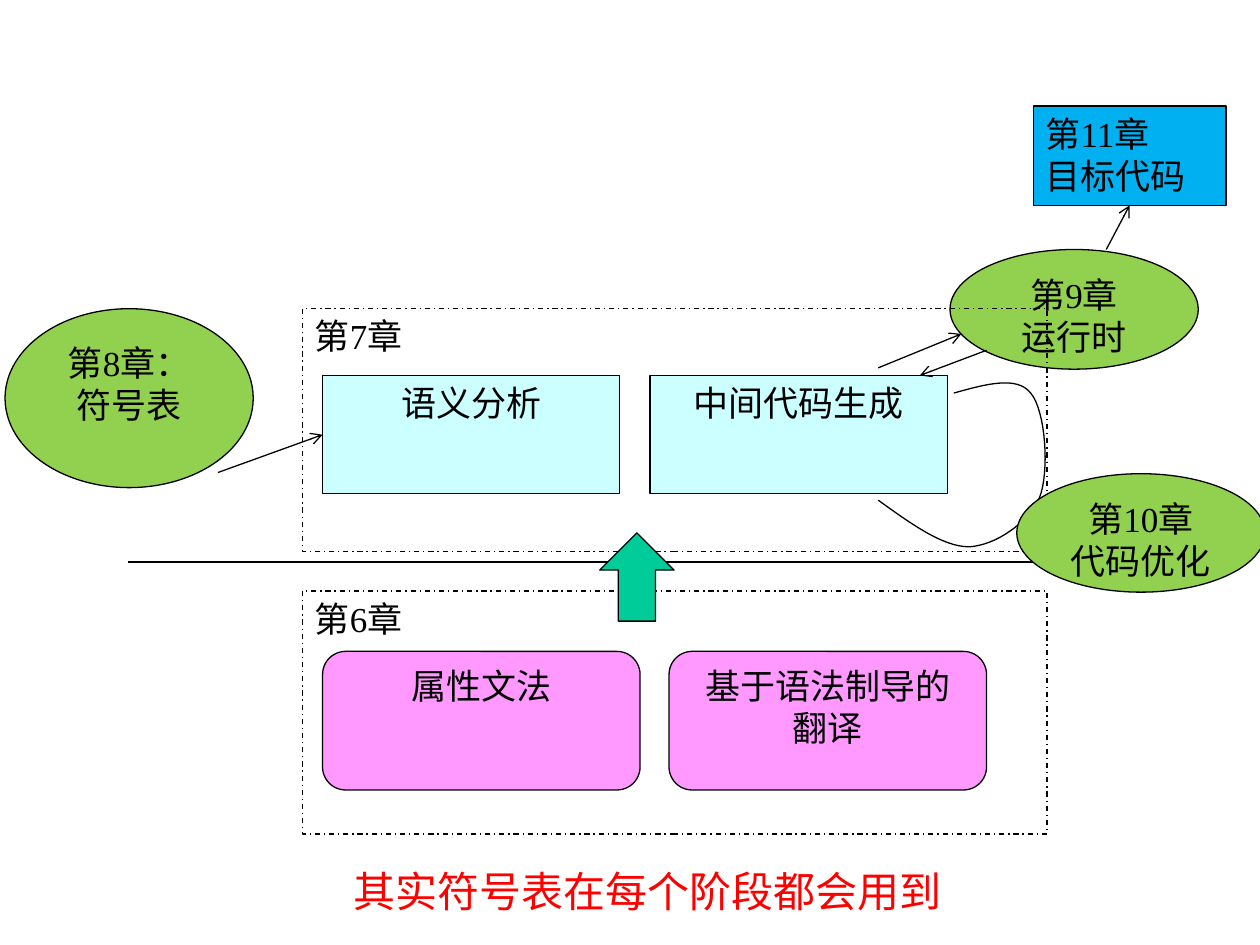
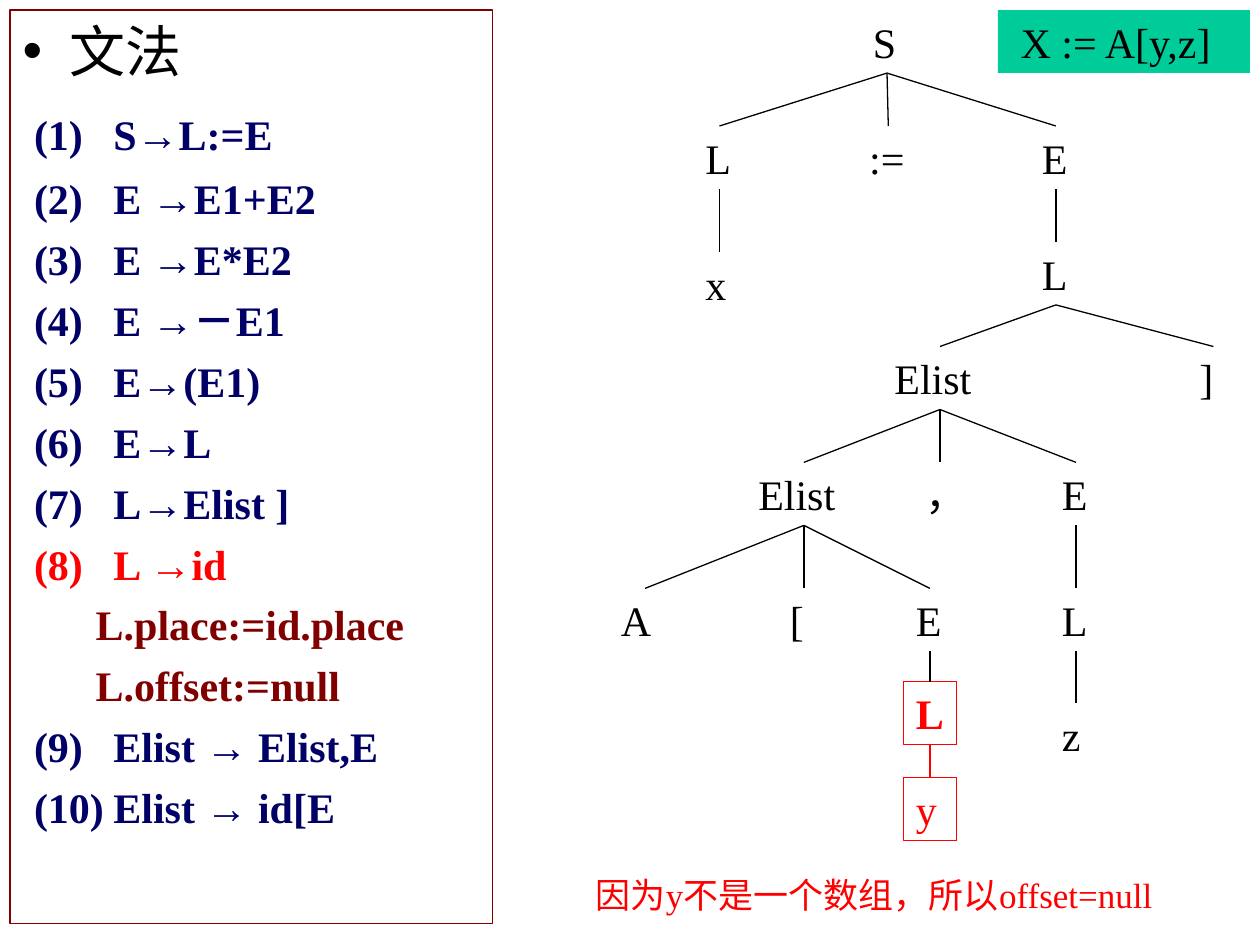
"""Build two compiler-course slides: a chapter map and an assignment parse tree."""
from dataclasses import dataclass
from typing import Optional

from lxml import etree
from pptx import Presentation
from pptx import util as u
from pptx.dml.color import RGBColor
from pptx.enum import dml, shapes, text
from pptx.oxml import ns

EMU_PER_PX = 9144
FONT = "Times New Roman"
BLACK = RGBColor(0x00, 0x00, 0x00)
RED = RGBColor(0xFF, 0x00, 0x00)
MAROON = RGBColor(0x80, 0x00, 0x00)
NAVY = RGBColor(0x00, 0x00, 0x66)
PINK = RGBColor(0xFF, 0x99, 0xFF)
PALE_CYAN = RGBColor(0xCC, 0xFF, 0xFF)
GREEN = RGBColor(0x92, 0xD0, 0x50)
BLUE = RGBColor(0x00, 0xB0, 0xF0)
TEAL = RGBColor(0x00, 0xCC, 0x99)

RECT = shapes.MSO_SHAPE.RECTANGLE
ROUNDED = shapes.MSO_SHAPE.ROUNDED_RECTANGLE
OVAL = shapes.MSO_SHAPE.OVAL
UP_ARROW = shapes.MSO_SHAPE.UP_ARROW
LEFT = text.PP_ALIGN.LEFT
CENTER = text.PP_ALIGN.CENTER
TOP_SIDE, LEFT_SIDE, BOTTOM_SIDE = 0, 1, 2


@dataclass(frozen=True)
class Box:
    label: str
    left: int
    top: int
    width: int
    height: int
    preset: Optional[int] = None
    fill: Optional[RGBColor] = None
    line: Optional[RGBColor] = None
    dashed: bool = False
    align: int = LEFT
    size: int = 20
    color: RGBColor = BLACK
    bold: bool = False


@dataclass(frozen=True)
class Node:
    key: str
    label: str
    left: int
    top: int
    width: int = 42
    parent: str = ""
    framed: bool = False
    bold: bool = False
    edge: RGBColor = BLACK


@dataclass(frozen=True)
class Rule:
    words: str
    color: RGBColor = NAVY
    left: int = 72
    hang: int = 63
    before: int = 6
    after: int = 0


def px(value: float) -> u.Emu:
    return u.Emu(round(value * EMU_PER_PX))


def format_spans(para, size: int, color: RGBColor, bold: bool) -> None:
    for span in para.runs:
        span.font.name = FONT
        span.font.size = u.Pt(size)
        span.font.color.rgb = color
        span.font.bold = bold


def draw_box(page, box: Box):
    place = [px(v) for v in (box.left, box.top, box.width, box.height)]
    if box.preset is None:
        shape = page.shapes.add_textbox(*place)
    else:
        shape = page.shapes.add_shape(box.preset, *place)
        shape.shadow.inherit = False
    if box.fill is None:
        shape.fill.background()
    else:
        shape.fill.solid()
        shape.fill.fore_color.rgb = box.fill
    if box.line is None:
        shape.line.fill.background()
    else:
        shape.line.color.rgb = box.line
        shape.line.width = u.Pt(0.75)
    if box.dashed:
        shape.line.dash_style = dml.MSO_LINE.DASH_DOT
    if box.label:
        frame = shape.text_frame
        frame.word_wrap = True
        frame.vertical_anchor = text.MSO_ANCHOR.TOP
        frame.text = box.label
        for para in frame.paragraphs:
            para.alignment = box.align
            format_spans(para, box.size, box.color, box.bold)
    return shape


def draw_line(page, start=(0, 0), end=(0, 0), color: RGBColor = BLACK, arrow: bool = False):
    points = [px(v) for v in (*start, *end)]
    line = page.shapes.add_connector(shapes.MSO_CONNECTOR.STRAIGHT, *points)
    line.line.color.rgb = color
    line.line.width = u.Pt(0.75)
    if arrow:
        etree.SubElement(line.line._get_or_add_ln(), ns.qn("a:tailEnd"), type="arrow")
    etree.SubElement(line._element.spPr, ns.qn("a:effectLst"))
    return line


def draw_curve(page, start: tuple, segments: list, steps: int = 16) -> None:
    points = []
    p0 = start
    for p1, p2, p3 in segments:
        for step in range(1, steps + 1):
            t = step / steps
            s = 1 - t
            points.append(tuple(
                px(s**3 * a + 3 * s * s * t * b + 3 * s * t * t * c + t**3 * d)
                for a, b, c, d in zip(p0, p1, p2, p3)))
        p0 = p3
    builder = page.shapes.build_freeform(px(start[0]), px(start[1]), scale=1.0)
    builder.add_line_segments(points, close=False)
    curve = builder.convert_to_shape()
    curve.shadow.inherit = False
    curve.fill.background()
    curve.line.color.rgb = BLACK
    curve.line.width = u.Pt(0.75)


def chapter(label: str, left: int, top: int, height: int) -> Box:
    return Box(label, left, top, 197, height, OVAL, GREEN, BLACK, align=CENTER)


def stage(label: str, left: int) -> Box:
    return Box(label, left, 298, 236, 94, RECT, PALE_CYAN, BLACK, align=CENTER)


def method(label: str, left: int) -> Box:
    return Box(label, left, 517, 252, 110, ROUNDED, PINK, BLACK, align=CENTER)


def scope(label: str, top: int) -> Box:
    return Box(label, 240, top, 591, 193, RECT, line=BLACK, dashed=True)


def build_chapter_map(deck) -> None:
    page = deck.slides.add_slide(deck.slide_layouts[6])
    draw_box(page, method("属性文法", 256))
    draw_box(page, method("基于语法制导的翻译", 531))
    semantics = draw_box(page, stage("语义分析", 256))
    draw_box(page, stage("中间代码生成", 516))
    draw_box(page, chapter("第8章：\n符号表", 4, 245, 142))
    draw_line(page, (102, 446), (925, 446))
    draw_box(page, chapter("第9章\n运行时", 754, 198, 95))
    target = draw_box(page, Box("第11章\n目标代码", 820, 84, 153, 79, RECT, BLUE, BLACK))
    draw_curve(page, (697, 397), [
        ((722, 415), (748, 434), (769, 434)),
        ((790, 433), (816, 415), (825, 395)),
        ((833, 375), (830, 326), (818, 312)),
        ((807, 298), (782, 305), (757, 312)),
    ])
    draw_box(page, scope("第7章", 245))
    draw_box(page, scope("第6章", 469))
    draw_box(page, chapter("第10章\n代码优化", 807, 376, 94))
    draw_line(page, (173, 375), (256, 345), arrow=True).end_connect(semantics, LEFT_SIDE)
    draw_line(page, (697, 292), (763, 265), arrow=True)
    draw_line(page, (878, 198), (896, 163), arrow=True).end_connect(target, BOTTOM_SIDE)
    draw_line(page, (783, 278), (730, 298), arrow=True)
    draw_box(page, Box("", 476, 423, 59, 70, UP_ARROW, TEAL, BLACK))
    draw_box(page, Box("其实符号表在每个阶段都会用到", 271, 682, 520, 50, size=24, color=RED))


RULES = [
    Rule("(1)\tS→L:=E", before=14, after=2),
    Rule("(2)\tE →E1+E2"),
    Rule("(3)\tE →E*E2"),
    Rule("(4)\tE →－E1"),
    Rule("(5)\tE→(E1)"),
    Rule("(6)\tE→L"),
    Rule("(7)\tL→Elist ]"),
    Rule("(8)\tL →id", RED),
    Rule("L.place:=id.place", MAROON, 58, 0),
    Rule("L.offset:=null", MAROON, 58, 0),
    Rule("(9)\tElist → Elist,E"),
    Rule("(10)\tElist → id[E"),
]

TREE = [
    Node("root", "S", 683, 8),
    Node("target", "L", 550, 100, parent="root"),
    Node("assign", ":=", 680, 100, 50, "root"),
    Node("value", "E", 817, 100, parent="root"),
    Node("x", "x", 550, 200, parent="target"),
    Node("element", "L", 817, 192, parent="value"),
    Node("list", "Elist", 700, 275, 92, "element"),
    Node("close", "]", 942, 275, parent="element"),
    Node("first", "Elist", 592, 367, 92, "list"),
    Node("comma", "，", 725, 367, parent="list"),
    Node("second", "E", 833, 367, parent="list"),
    Node("array", "A", 483, 467, 58, "first"),
    Node("open", "[", 617, 467, parent="first"),
    Node("index", "E", 717, 467, parent="first"),
    Node("z place", "L", 833, 467, parent="second"),
    Node("z", "z", 833, 558, parent="z place"),
    Node("y place", "L", 717, 541, parent="index", framed=True, bold=True),
    Node("y", "y", 717, 617, parent="y place", framed=True, edge=RED),
]


def draw_grammar(page) -> None:
    body = page.placeholders[1]
    body.left, body.top, body.width, body.height = (px(v) for v in (8, 8, 383, 725))
    body.line.color.rgb = MAROON
    body.line.width = u.Pt(0.75)
    frame = body.text_frame
    frame.word_wrap = True
    frame.auto_size = text.MSO_AUTO_SIZE.NONE
    frame.text = "文法"
    heading = frame.paragraphs[0]
    heading.space_before = u.Pt(8)
    format_spans(heading, 32, BLACK, False)
    for rule in RULES:
        para = frame.add_paragraph()
        para.text = rule.words
        para.space_before = u.Pt(rule.before)
        para.space_after = u.Pt(rule.after)
        format_spans(para, 24, rule.color, True)
        props = para._p.get_or_add_pPr()
        props.set("marL", str(px(rule.left)))
        props.set("indent", str(px(-rule.hang)))
        etree.SubElement(props, ns.qn("a:buNone"))


def draw_tree(page) -> None:
    drawn = {}
    for node in TREE:
        tint = RED if node.framed else BLACK
        drawn[node.key] = draw_box(page, Box(
            node.label, node.left, node.top, node.width, 50,
            RECT if node.framed else None, line=RED if node.framed else None,
            size=24, color=tint, bold=node.bold))
        if node.parent:
            edge = draw_line(page, color=node.edge)
            edge.begin_connect(drawn[node.parent], BOTTOM_SIDE)
            edge.end_connect(drawn[node.key], TOP_SIDE)


def build_parse_tree(deck) -> None:
    page = deck.slides.add_slide(deck.slide_layouts[1])
    title = page.shapes.title._element
    title.getparent().remove(title)
    draw_grammar(page)
    statement = draw_box(page, Box("X := A[y,z]", 792, 8, 200, 50, RECT, TEAL, size=24))
    statement.text_frame.margin_left = px(18)
    draw_tree(page)
    draw_box(page, Box("因为y不是一个数组，所以offset=null", 463, 688, 500, 44, color=RED))


def main() -> None:
    deck = Presentation()
    deck.slide_width, deck.slide_height = px(1000), px(750)
    build_chapter_map(deck)
    build_parse_tree(deck)
    deck.save("out.pptx")


if __name__ == "__main__":
    main()
